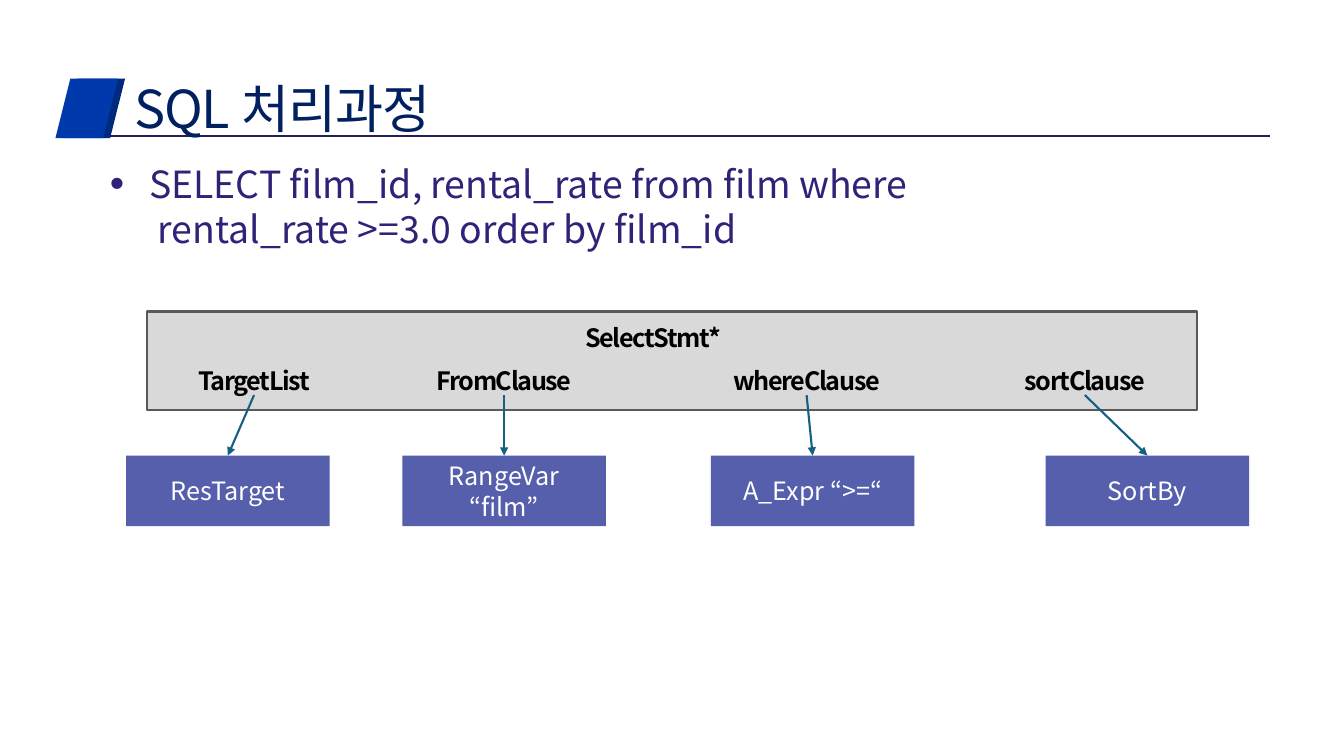
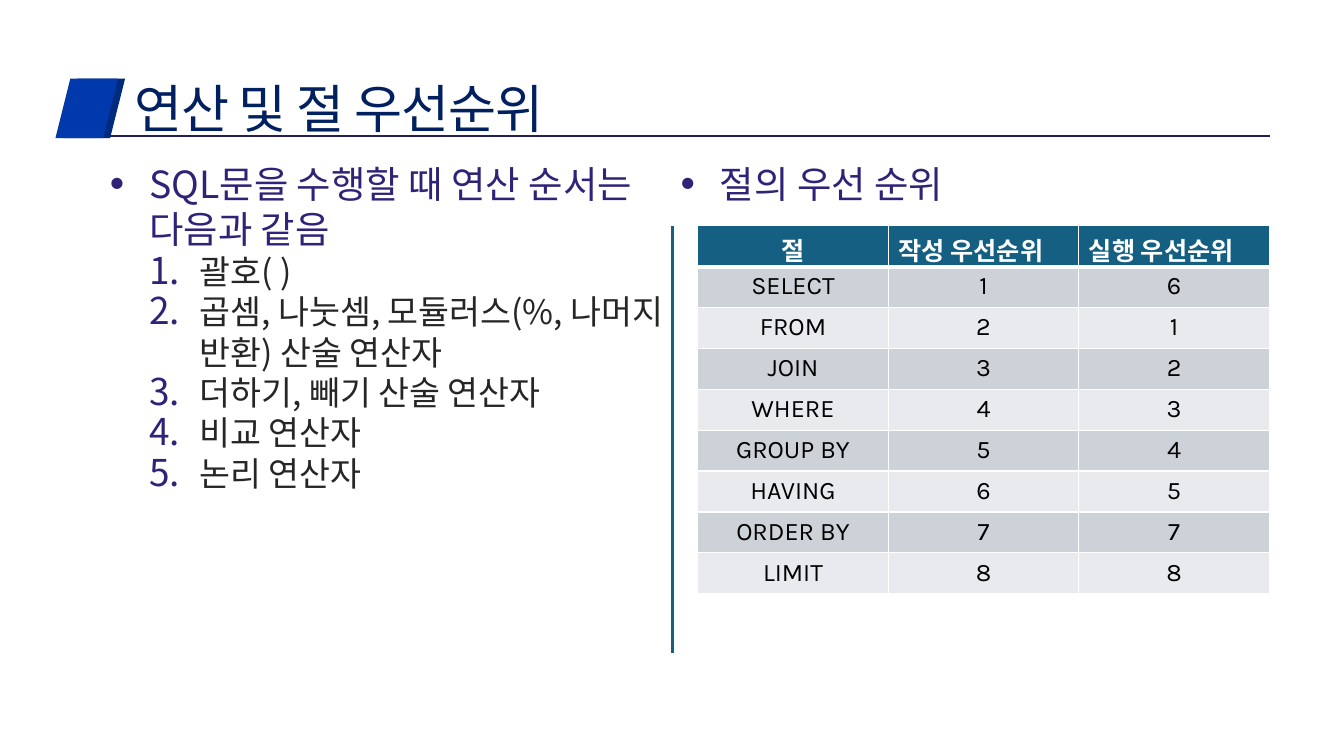
from lxml import etree
from pptx import Presentation
from pptx import util as u
from pptx.dml.color import RGBColor
from pptx.enum import shapes, text
from pptx.oxml import ns

FONT = "Noto Sans CJK KR"
TABLE_FONT = "Karla"
COLORS = {
    "title": "002060", "rule": "241E59", "mark_back": "002A7E", "mark_front": "0039AC",
    "body": "2F2378", "item": "262626", "black": "000000", "white": "FFFFFF",
    "panel": "D9D9D9", "panel_line": "595959", "node": "555FAB", "accent": "156082",
    "row_dark": "CCD2D8", "row_light": "E8EAED",
}
BODY_MARGINS = (0.08, 0.04, 0.08, 0)
CENTER = text.PP_ALIGN.CENTER


def color(name):
    return RGBColor.from_string(COLORS[name])


def add_xml(parent, tag, **attributes):
    return etree.SubElement(parent, ns.qn(tag), attributes)


def style(paragraph, size, color_name, bold=False, spacing=0, align=None, font=FONT):
    paragraph.alignment = align
    paragraph.font.size = u.Pt(size)
    paragraph.font.bold = bold
    paragraph.font.color.rgb = color(color_name)
    paragraph.font.name = font
    properties = paragraph.font._element
    add_xml(properties, "a:ea", typeface=FONT)
    if spacing:
        properties.set("spc", str(round(spacing * 100)))


def add_bullet(paragraph, left, hanging, numbered=False):
    properties = paragraph._p.get_or_add_pPr()
    properties.set("marL", str(u.Inches(left)))
    properties.set("indent", str(-u.Inches(hanging)))
    if numbered:
        marker_color = add_xml(properties, "a:buClr")
        add_xml(marker_color, "a:srgbClr", val=COLORS["body"])
    add_xml(properties, "a:buSzPct", val="110000")
    if numbered:
        add_xml(properties, "a:buFont", typeface=FONT)
        add_xml(properties, "a:buAutoNum", type="arabicPeriod")
    else:
        add_xml(properties, "a:buFont", typeface="Arial")
        add_xml(properties, "a:buChar", char="•")


def add_text_box(slide, box, margins, wrap=True):
    shape = slide.shapes.add_textbox(*map(u.Inches, box))
    frame = shape.text_frame
    frame.word_wrap = wrap
    (frame.margin_left, frame.margin_top,
     frame.margin_right, frame.margin_bottom) = map(u.Inches, margins)
    return frame


def add_block(slide, kind, box, fill, line=None):
    shape = slide.shapes.add_shape(kind, *map(u.Inches, box))
    shape.shadow.inherit = False
    shape.fill.solid()
    shape.fill.fore_color.rgb = color(fill)
    if line:
        shape.line.color.rgb = color(line)
        shape.line.width = u.Pt(1.5)
    else:
        shape.line.fill.background()
    return shape


def add_line(slide, start, end, color_name, arrow=False):
    line = slide.shapes.add_connector(
        shapes.MSO_CONNECTOR.STRAIGHT, *map(u.Inches, (*start, *end)))
    line.line.color.rgb = color(color_name)
    line.line.width = u.Pt(1.5)
    if arrow:
        add_xml(line.line._get_or_add_ln(), "a:tailEnd", type="triangle")
    add_xml(line._element.spPr, "a:effectLst")


def add_titled_slide(presentation, title):
    slide = presentation.slides.add_slide(presentation.slide_layouts[6])
    add_line(slide, (0.78, 1.35), (12.6, 1.35), "rule")
    for left, fill in ((0.62, "mark_back"), (0.55, "mark_front")):
        add_block(slide, shapes.MSO_SHAPE.PARALLELOGRAM, (left, 0.78, 0.62, 0.59), fill)
    frame = add_text_box(slide, (1.25, 0.77, 11.34, 0.59), (0.08, 0.08, 0.08, 0))
    frame.vertical_anchor = text.MSO_ANCHOR.MIDDLE
    paragraph = frame.paragraphs[0]
    paragraph.text = title
    paragraph.line_spacing = 0.9
    style(paragraph, 37.3, "title", spacing=-0.7)
    return slide


def add_body(slide, box, heading, items=()):
    frame = add_text_box(slide, box, BODY_MARGINS)
    paragraph = frame.paragraphs[0]
    paragraph.text = heading
    add_bullet(paragraph, 0.39, 0.39)
    style(paragraph, 26.7, "body")
    for item in items:
        paragraph = frame.add_paragraph()
        paragraph.text = item
        paragraph.level = 1
        add_bullet(paragraph, 0.89, 0.5, numbered=True)
        style(paragraph, 24, "item")


def add_label(slide, center, top, label):
    width = 1.8
    frame = add_text_box(slide, (center - width / 2, top, width, 0.34),
                         (0.04, 0.04, 0.04, 0), wrap=False)
    frame.text = label
    style(frame.paragraphs[0], 18, "black", bold=True, spacing=-1, align=CENTER)


def add_node(slide, center, top, label):
    width = 2.02
    shape = add_block(slide, shapes.MSO_SHAPE.RECTANGLE,
                      (center - width / 2, top, width, 0.7), "node")
    shape.text_frame.text = label
    shape.text_frame.vertical_anchor = text.MSO_ANCHOR.MIDDLE
    for paragraph in shape.text_frame.paragraphs:
        style(paragraph, 18, "white", align=CENTER)


def add_cell_borders(cell, bottom):
    properties = cell._tc.get_or_add_tcPr()
    for side, width in (("L", 1), ("R", 1), ("T", 1), ("B", bottom)):
        line = add_xml(properties, f"a:ln{side}", w=str(u.Pt(width)))
        fill = add_xml(line, "a:solidFill")
        add_xml(fill, "a:srgbClr", val=COLORS["white"])


def add_clause_table(slide, box, rows):
    table = slide.shapes.add_table(len(rows), len(rows[0]), *map(u.Inches, box)).table
    for row_index, values in enumerate(rows):
        header = row_index == 0
        fill = "accent" if header else ("row_light", "row_dark")[row_index % 2]
        for column_index, value in enumerate(values):
            cell = table.cell(row_index, column_index)
            add_cell_borders(cell, 3 if header else 1)
            cell.fill.solid()
            cell.fill.fore_color.rgb = color(fill)
            cell.text = value
            align = None if header and column_index else CENTER
            style(cell.text_frame.paragraphs[0], 18, "white" if header else "black",
                  bold=header, align=align, font=TABLE_FONT)


def build_parse_slide(presentation):
    slide = add_titled_slide(presentation, "SQL 처리과정")
    add_body(slide, (1.01, 1.56, 11.59, 0.59),
             "SELECT film_id, rental_rate from film where\n rental_rate >=3.0 order by film_id")
    add_block(slide, shapes.MSO_SHAPE.RECTANGLE, (1.46, 3.09, 10.41, 0.98),
              "panel", "panel_line")
    add_label(slide, 6.48, 3.16, "SelectStmt*")
    label_top, node_top = 3.58, 4.52
    branches = (
        ("TargetList", 2.52, "ResTarget", 2.26),
        ("FromClause", 5, "RangeVar\n“film”", 5),
        ("whereClause", 8, "A_Expr “>=“", 8.06),
        ("sortClause", 10.76, "SortBy", 11.38),
    )
    for label, label_center, node, node_center in branches:
        add_label(slide, label_center, label_top, label)
        add_node(slide, node_center, node_top, node)
        add_line(slide, (label_center, label_top + 0.34), (node_center, node_top),
                 "accent", arrow=True)


def build_priority_slide(presentation):
    slide = add_titled_slide(presentation, "연산 및 절 우선순위")
    add_body(slide, (1.01, 1.56, 5.66, 5.79), "SQL문을 수행할 때 연산 순서는 다음과 같음", (
        "괄호( )",
        "곱셈, 나눗셈, 모듈러스(%, 나머지 반환) 산술 연산자",
        "더하기, 빼기 산술 연산자",
        "비교 연산자",
        "논리 연산자",
    ))
    add_body(slide, (6.67, 1.56, 5.66, 0.59), "절의 우선 순위")
    add_clause_table(slide, (6.92, 2.24, 5.67, 3.65), (
        ("절", "작성 우선순위", "실행 우선순위"),
        ("SELECT", "1", "6"),
        ("FROM", "2", "1"),
        ("JOIN", "3", "2"),
        ("WHERE", "4", "3"),
        ("GROUP BY", "5", "4"),
        ("HAVING", "6", "5"),
        ("ORDER BY", "7", "7"),
        ("LIMIT", "8", "8"),
    ))
    add_line(slide, (6.67, 2.24), (6.67, 6.48), "accent")


def main():
    presentation = Presentation()
    presentation.slide_width = u.Inches(13.33)
    presentation.slide_height = u.Inches(7.5)
    build_parse_slide(presentation)
    build_priority_slide(presentation)
    presentation.save("out.pptx")


if __name__ == "__main__":
    main()
